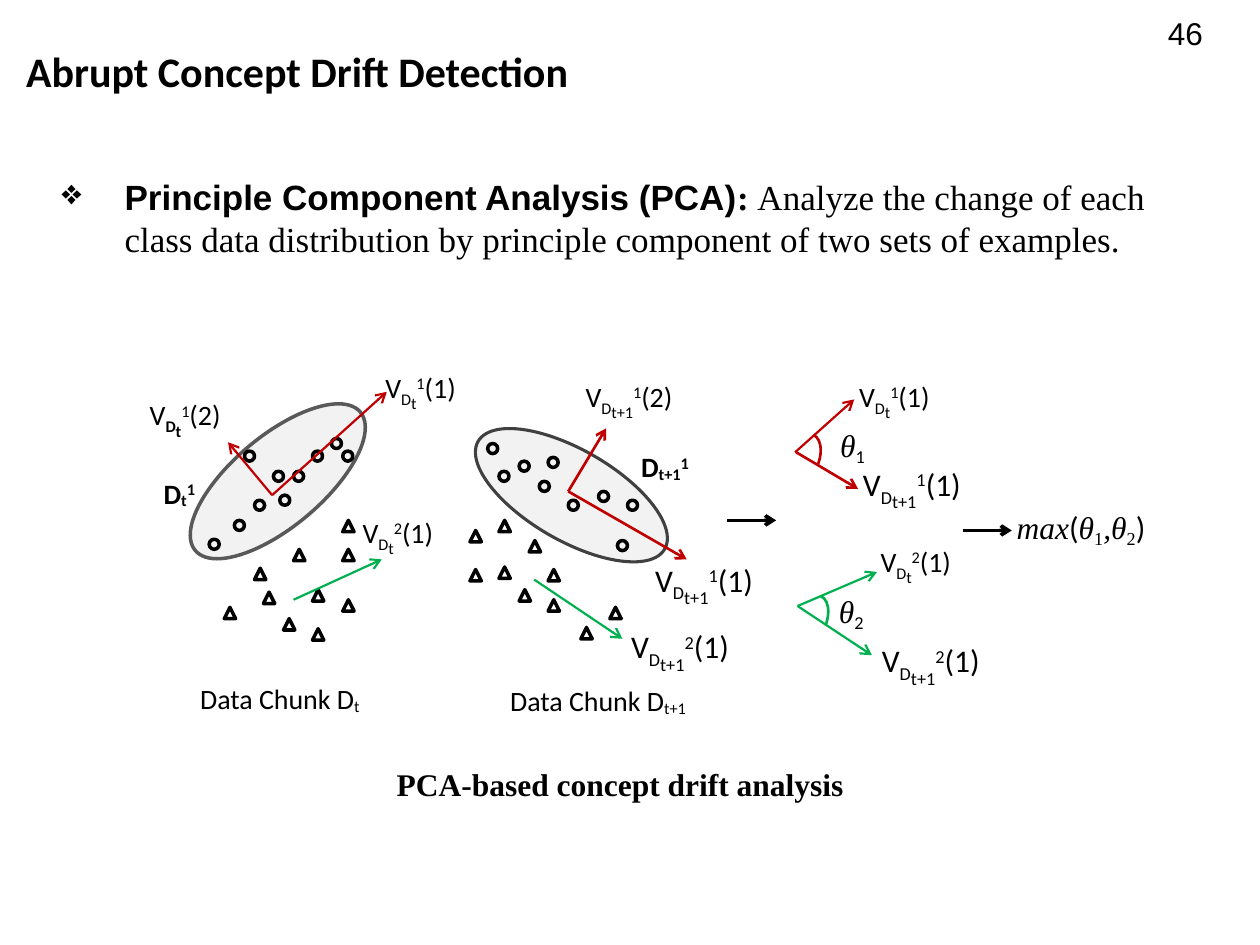
from dataclasses import dataclass

from lxml import etree
from pptx import Presentation
from pptx.dml.color import RGBColor
from pptx.enum.shapes import MSO_CONNECTOR, MSO_SHAPE
from pptx.enum.text import MSO_AUTO_SIZE
from pptx.oxml.ns import qn
from pptx.util import Emu, Pt

STRAIGHT = MSO_CONNECTOR.STRAIGHT
OVAL = MSO_SHAPE.OVAL
TRIANGLE = MSO_SHAPE.ISOSCELES_TRIANGLE
ARC = MSO_SHAPE.ARC
GROW = MSO_AUTO_SIZE.SHAPE_TO_FIT_TEXT
PX = 9144  # 100 px to the inch


@dataclass(frozen=True)
class Theme:
    black: str = "000000"
    red: str = "C00000"
    green: str = "00B050"
    cloud: str = "F2F2F2"
    edge_t: str = "595959"
    edge_t1: str = "404040"
    sans: str = "Calibri"
    serif: str = "Times New Roman"
    plain: str = "Arial"
    title: int = 24
    body: int = 20
    large: int = 18
    label: int = 16


T = Theme()

# Marker corners: class 1 are circles, class 2 are triangles
CIRCLES = [
    (222, 393), (233, 374), (263, 348), (248, 358), (202, 397), (217, 374),
    (194, 358), (186, 413), (166, 428), (272, 358),
    (412, 366), (498, 397), (396, 374), (387, 352), (451, 397), (475, 390),
    (428, 382), (435, 363), (490, 429),
]
TRIANGLES = [
    (233, 436), (248, 468), (225, 491), (248, 499), (272, 476), (209, 470),
    (178, 482), (202, 451), (272, 413), (272, 436),
    (373, 421), (435, 452), (435, 476), (461, 498), (484, 482), (412, 468),
    (396, 413), (396, 450), (373, 452), (420, 429),
]

# Start, end, colour, width
ARROWS = [
    ((216, 393), (307, 311), T.red, 1.25),
    ((216, 393), (181, 351), T.red, 1.25),
    ((451, 390), (545, 444), T.red, 1.5),
    ((451, 390), (481, 340), T.red, 1.5),
    ((233, 476), (303, 444), T.green, 1.25),
    ((424, 460), (494, 507), T.green, 1.25),
    ((577, 413), (616, 413), T.black, 2),
    ((632, 359), (681, 388), T.red, 1.5),
    ((631, 359), (678, 317), T.red, 1.25),
    ((633, 481), (696, 454), T.green, 1.25),
    ((633, 481), (692, 520), T.green, 1.25),
    ((764, 421), (803, 421), T.black, 2),
]

# Left, top, chunk, class, component, size
VECTORS = [
    (296, 289, "t", "1", 1, T.label),
    (278, 404, "t", "2", 1, T.label),
    (455, 296, "t+1", "1", 2, T.label),
    (510, 440, "t+1", "1", 1, T.large),
    (491, 493, "t+1", "2", 1, T.large),
    (672, 296, "t", "1", 1, T.label),
    (675, 364, "t+1", "1", 1, T.large),
    (689, 427, "t", "2", 1, T.label),
    (690, 504, "t+1", "2", 1, T.large),
]


def rgb(value):
    return RGBColor.from_string(value)


def add_text(s, x, y, w, h, runs, size, font=T.sans, wrap=True, grow=True,
             bullet=None, **base):
    """Each run is (text, format); base holds the format that all runs share."""
    box = s.shapes.add_textbox(*(Emu(v * PX) for v in (x, y, w, h)))
    tf = box.text_frame
    tf.word_wrap = wrap
    if grow:
        tf.auto_size = GROW
    p = tf.paragraphs[0]
    if bullet:
        pPr = p._p.get_or_add_pPr()
        pPr.set("marL", str(50 * PX))
        pPr.set("indent", str(-50 * PX))
        etree.SubElement(pPr, qn("a:buChar")).set("char", bullet)
    for text, fmt in runs:
        r = p.add_run()
        r.text = text
        r.font.color.rgb = rgb(T.black)
        values = {"size": Pt(size), "name": font, **base, **fmt}
        shift = values.pop("shift", 0)
        for name, value in values.items():
            setattr(r.font, name, value)
        if shift:
            r._r.get_or_add_rPr().set("baseline", str(shift * 1000))
    return p


def add_shape(s, kind, x, y, w, h, line, width, fill=None, turn=0):
    sp = s.shapes.add_shape(kind, *(Emu(v * PX) for v in (x, y, w, h)))
    sp.shadow.inherit = False
    sp.rotation = turn
    if fill:
        sp.fill.solid()
        sp.fill.fore_color.rgb = rgb(fill)
    else:
        sp.fill.background()
    sp.line.color.rgb = rgb(line)
    sp.line.width = Pt(width)


def add_arrow(s, start, end, color, width):
    c = s.shapes.add_connector(STRAIGHT, *(Emu(v * PX) for v in start + end))
    c.line.color.rgb = rgb(color)
    c.line.width = Pt(width)
    etree.SubElement(c.line._get_or_add_ln(), qn("a:tailEnd")).set("type", "arrow")
    etree.SubElement(c._element.spPr, qn("a:effectLst"))


def add_vector_label(s, x, y, chunk, cls, component, size, bold_sub=False, w=None):
    runs = [("V", {}), ("D", {"shift": -25, "bold": bold_sub}),
            (chunk, {"shift": -40, "bold": bold_sub}),
            (cls, {"shift": 30}), (f"({component})", {})]
    w = w or (129 if size == T.large else 117)
    add_text(s, x, y, w, 40 if size == T.large else 37, runs, size)


def add_angle(s, arc_x, arc_y, x, y, index, color):
    add_shape(s, ARC, arc_x, arc_y, 23, 41, color, 1.5, turn=20)
    runs = [("θ", {"name": T.serif, "italic": True}), (index, {"shift": -20})]
    add_text(s, x, y, 48, 40, runs, T.large)


def add_chunk(s, x, y, w, chunk, set_x, set_y, set_w):
    """Name of a data chunk and of its class 1 set."""
    sub = (chunk, {"shift": -10})
    add_text(s, x, y, w, 37, [("Data Chunk D", {}), sub], T.label)
    add_text(s, set_x, set_y, set_w, 37, [("D", {}), sub, ("1", {"shift": 30})],
             T.label, bold=True)


def main():
    prs = Presentation()
    prs.slide_width, prs.slide_height = Emu(1000 * PX), Emu(750 * PX)
    s = prs.slides.add_slide(prs.slide_layouts[6])

    # Title, page number and statement
    add_text(s, 11, 31, 716, 50, [("Abrupt Concept Drift Detection", {})],
             T.title, bold=True)
    p = add_text(s, 917, 0, 83, 40, [("46", {})], T.large, T.plain, grow=False)
    p.line_spacing = 1.2
    add_text(s, 39, 134, 898, 77, [
        ("Principle Component Analysis (PCA)", {"name": T.plain, "bold": True}),
        (": ", {"bold": True}),
        ("Analyze the change of each class data distribution by principle "
         "component of two sets of examples.", {}),
    ], T.body, T.serif, bullet="❖")

    # Class 1 clouds and the examples
    add_shape(s, OVAL, 135, 346, 171, 72, T.edge_t, 2, T.cloud, 320)
    add_shape(s, OVAL, 368, 357, 171, 72, T.edge_t1, 1.75, T.cloud, 210)
    for kind, size, corners in ((OVAL, 8, CIRCLES), (TRIANGLE, 9, TRIANGLES)):
        for x, y in corners:
            add_shape(s, kind, x, y, size, size, T.black, 2)

    # Principal components and flow arrows
    for arrow in ARROWS:
        add_arrow(s, *arrow)
    for vector in VECTORS:
        add_vector_label(s, *vector)
    add_vector_label(s, 109, 311, "t", "1", 2, T.label, bold_sub=True, w=100)
    add_chunk(s, 149, 536, 197, "t", 120, 373, 55)
    add_chunk(s, 395, 538, 195, "t+1", 499, 352, 94)

    # Angles and their maximum
    add_angle(s, 627, 344, 657, 333, "1", T.red)
    add_angle(s, 633, 472, 656, 465, "2", T.green)
    italic, sub, sans = {"italic": True}, {"shift": -20}, {"name": T.sans}
    add_text(s, 797, 398, 125, 46, [
        ("max", italic), ("(", sans), ("θ", italic), ("1", sub),
        (",θ", italic), ("2", sub), (")", sans),
    ], T.large, T.serif)

    # Caption
    add_text(s, 305, 602, 379, 40, [("PCA-based concept drift analysis", {})],
             T.large, T.serif, wrap=False, bold=True)

    prs.save("out.pptx")


if __name__ == "__main__":
    main()
